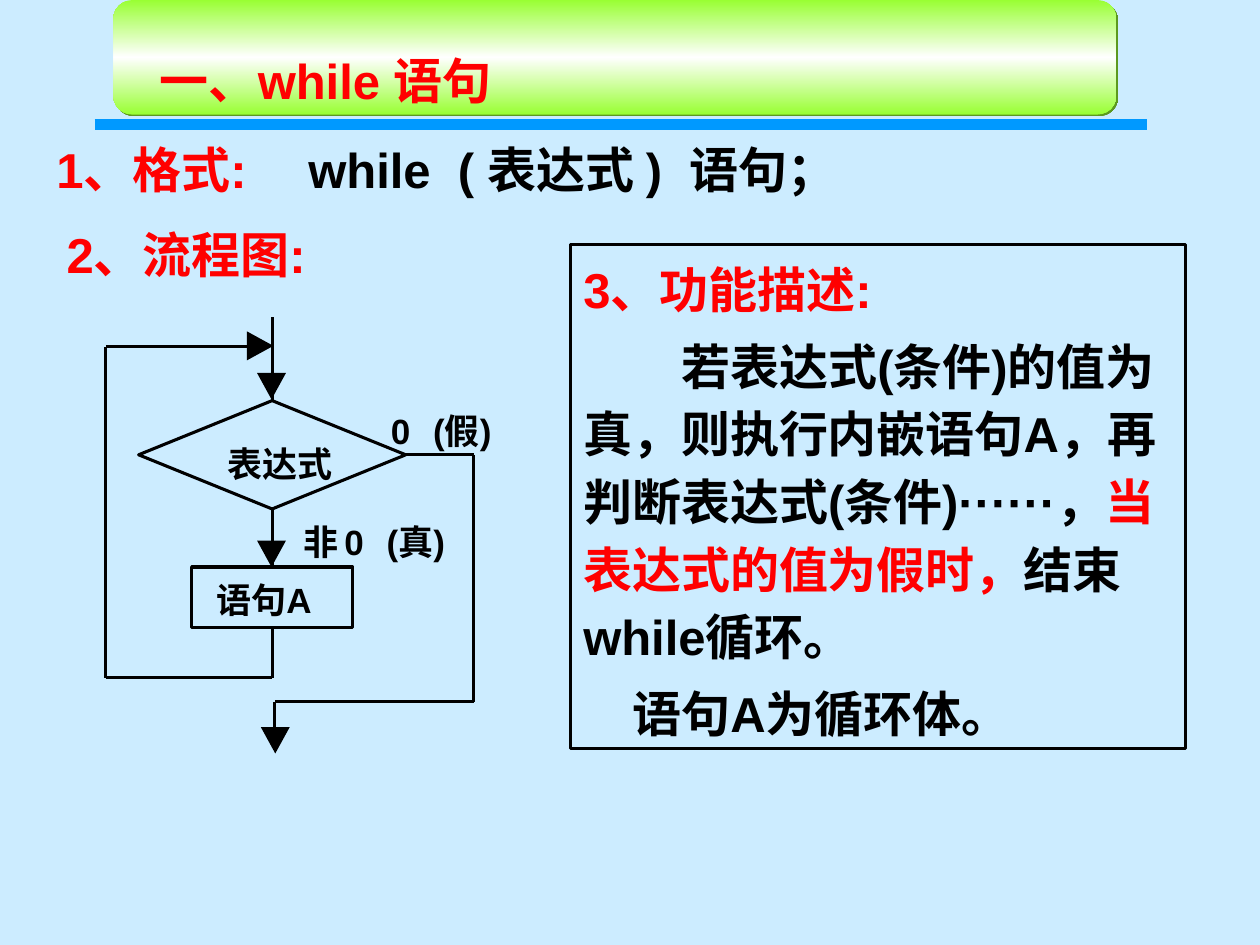
import copy

import lxml.etree
import pptx
import pptx.dml.color
import pptx.enum.lang
import pptx.enum.shapes
import pptx.enum.text
import pptx.oxml
import pptx.oxml.ns
import pptx.util

PX = 9144
FONT = "Arial"
COLORS = {
    "sky": "CCECFF",
    "rule": "0099FF",
    "lime": "99FF33",
    "white": "FFFFFF",
    "shade": "5C991F",
    "red": "FF0000",
    "black": "000000",
}
SHAPE = pptx.enum.shapes.MSO_SHAPE
ALIGN = pptx.enum.text.PP_ALIGN
qn = pptx.oxml.ns.qn


def px(*lengths):
    return [pptx.util.Emu(length * PX) for length in lengths]


def rgb(name):
    return pptx.dml.color.RGBColor.from_string(COLORS[name])


def add_shape(page, preset, left, top, width, height, fill=None, line=None):
    shape = page.shapes.add_shape(preset, *px(left, top, width, height))
    shape.shadow.inherit = False
    if fill:
        shape.fill.solid()
        shape.fill.fore_color.rgb = rgb(fill)
    else:
        shape.fill.background()
    if line:
        shape.line.color.rgb = rgb(line)
        shape.line.width = pptx.util.Pt(1.75)
    else:
        shape.line.fill.background()
    return shape


def add_line(page, start, end, color="black", weight=1.75):
    line = page.shapes.add_connector(
        pptx.enum.shapes.MSO_CONNECTOR.STRAIGHT, *px(*start, *end))
    line.line.color.rgb = rgb(color)
    line.line.width = pptx.util.Pt(weight)
    lxml.etree.SubElement(line._element.spPr, qn("a:effectLst"))
    return line


def set_frame(frame, inset=(10, 5), wrap=True):
    frame.word_wrap = wrap
    frame.auto_size = pptx.enum.text.MSO_AUTO_SIZE.NONE
    frame.vertical_anchor = pptx.enum.text.MSO_ANCHOR.TOP
    frame.margin_left = frame.margin_right = px(inset[0])[0]
    frame.margin_top = frame.margin_bottom = px(inset[1])[0]


def write(para, spans, size=28, spacing=1.0, before=0, margin=0, indent=0,
          align=ALIGN.LEFT):
    para.alignment = align
    para.line_spacing = spacing
    para.space_before = pptx.util.Pt(before)
    properties = para._p.get_or_add_pPr()
    properties.set("marL", str(margin * PX))
    properties.set("indent", str(indent * PX))
    lxml.etree.SubElement(properties, qn("a:buNone"))
    for text, color in spans:
        span = para.add_run()
        span.text = text
        span.font.name = FONT
        span.font.size = pptx.util.Pt(size)
        span.font.bold = True
        span.font.color.rgb = rgb(color)
        span.font.language_id = pptx.enum.lang.MSO_LANGUAGE_ID.SIMPLIFIED_CHINESE
    return properties


def add_text(page, left, top, width, height):
    box = page.shapes.add_textbox(*px(left, top, width, height))
    set_frame(box.text_frame)
    return box.text_frame.paragraphs[0]


def add_label(page, text, left, top, width):
    box = page.shapes.add_textbox(*px(left, top, width, 33))
    set_frame(box.text_frame, (0, 0), False)
    write(box.text_frame.paragraphs[0], [(text, "black")], 20, align=ALIGN.CENTER)


def move(holder, left, top, width, height):
    holder.left, holder.top, holder.width, holder.height = px(left, top, width, height)
    set_frame(holder.text_frame)


def build_banner(page, left, top, width, height):
    add_line(page, (left - 15, top + 99), (left + 820, top + 99), "rule", 6)
    banner = add_shape(page, SHAPE.ROUNDED_RECTANGLE, left, top, width, height)
    banner.fill.gradient()
    banner.fill.gradient_angle = 90
    stops = banner.fill.gradient_stops
    stops[0].color.rgb = stops[1].color.rgb = rgb("lime")
    middle = copy.deepcopy(stops[0]._gs)
    middle.set("pos", "50000")
    stops[0]._gs.addnext(middle)
    banner.fill.gradient_stops[1].color.rgb = rgb("white")
    effects = banner._element.spPr.find(qn("a:effectLst"))
    shadow = lxml.etree.SubElement(
        effects, qn("a:outerShdw"), dist="17780", dir="2700000", algn="ctr")
    lxml.etree.SubElement(shadow, qn("a:srgbClr"), val=COLORS["shade"])

    title = page.shapes.title
    move(title, left + 6, top + 21, 459, 71)
    write(title.text_frame.paragraphs[0], [("一、while 语句", "red")],
          spacing=1.3, before=7, margin=21)
    page.shapes._spTree.append(title._element)


def build_format(page, left, top, width, height):
    para = add_text(page, left, top, width, height)
    properties = write(para, [("1、格式:\t", "red"),
                              ("while  ( 表达式 )  语句；", "black")], before=7)
    tabs = lxml.etree.SubElement(properties, qn("a:tabLst"))
    lxml.etree.SubElement(tabs, qn("a:tab"), pos=str(262 * PX), algn="l")


def build_flowchart(page, left, top):
    def at(x, y):
        return left + x, top + y

    write(add_text(page, *at(0, 0), 236, 57), [("2、流程图:", "red")])

    decision = add_shape(page, SHAPE.FLOWCHART_DECISION, *at(67, 145), 212, 86,
                         line="black")
    action = add_shape(page, SHAPE.RECTANGLE, *at(109, 277), 128, 48, line="black")

    axis, loop_x, exit_x = 173, 41, 333
    entry = add_line(page, at(axis, 79), at(axis, 145))
    entry.end_connect(decision, 0)
    true_branch = add_line(page, at(axis, 231), at(axis, 277))
    true_branch.begin_connect(decision, 2)
    true_branch.end_connect(action, 0)
    back = add_line(page, at(axis, 325), at(axis, 365))
    back.begin_connect(action, 2)
    false_branch = add_line(page, at(279, 188), at(exit_x, 188))
    false_branch.begin_connect(decision, 3)

    routes = [
        [(axis, 365), (loop_x, 365), (loop_x, 102), (axis - 19, 102)],
        [(exit_x, 188), (exit_x, 384), (axis + 2, 384), (axis + 2, 406)],
    ]
    for route in routes:
        for start, end in zip(route, route[1:]):
            add_line(page, at(*start), at(*end))

    heads = [(161, 123, 0), (161, 256, 0), (164, 404, 0), (152, 91, -90)]
    for x, y, turn in heads:
        head = add_shape(page, SHAPE.FLOWCHART_MERGE, *at(x, y), 23, 21, fill="black")
        head.rotation = turn

    labels = [
        ("表达式", 137, 178, 84), ("语句A", 125, 286, 83),
        ("0", 267, 152, 16), ("(假)", 294, 152, 60),
        ("非", 198, 240, 28), ("0", 230, 240, 16), ("(真)", 257, 240, 60),
    ]
    for text, x, y, width in labels:
        add_label(page, text, *at(x, y), width)


def build_description(page, left, top, width, height):
    body = page.placeholders[1]
    move(body, left, top, width, height)
    body.line.color.rgb = rgb("black")
    body.line.width = pptx.util.Pt(1.5)
    items = [
        (0, [("3、功能描述:", "red")]),
        (78, [("若表达式(条件)的值为真，则执行内嵌语句A，再判断表达式(条件)······，", "black"),
              ("当表达式的值为假时，", "red"),
              ("结束while循环。", "black")]),
        (39, [("语句A为循环体。", "black")]),
    ]
    frame = body.text_frame
    for number, (indent, spans) in enumerate(items):
        para = frame.add_paragraph() if number else frame.paragraphs[0]
        write(para, spans, spacing=1.15, before=5.2, indent=indent)
    page.shapes._spTree.append(body._element)


def main():
    deck = pptx.Presentation()
    deck.slide_width, deck.slide_height = px(1000, 750)
    page = deck.slides.add_slide(deck.slide_layouts[1])
    page.background.fill.solid()
    page.background.fill.fore_color.rgb = rgb("sky")
    build_banner(page, 90, 0, 796, 91)
    build_format(page, 35, 106, 867, 57)
    build_flowchart(page, 43, 173)
    build_description(page, 453, 194, 488, 400)
    deck.save("out.pptx")


if __name__ == "__main__":
    main()
